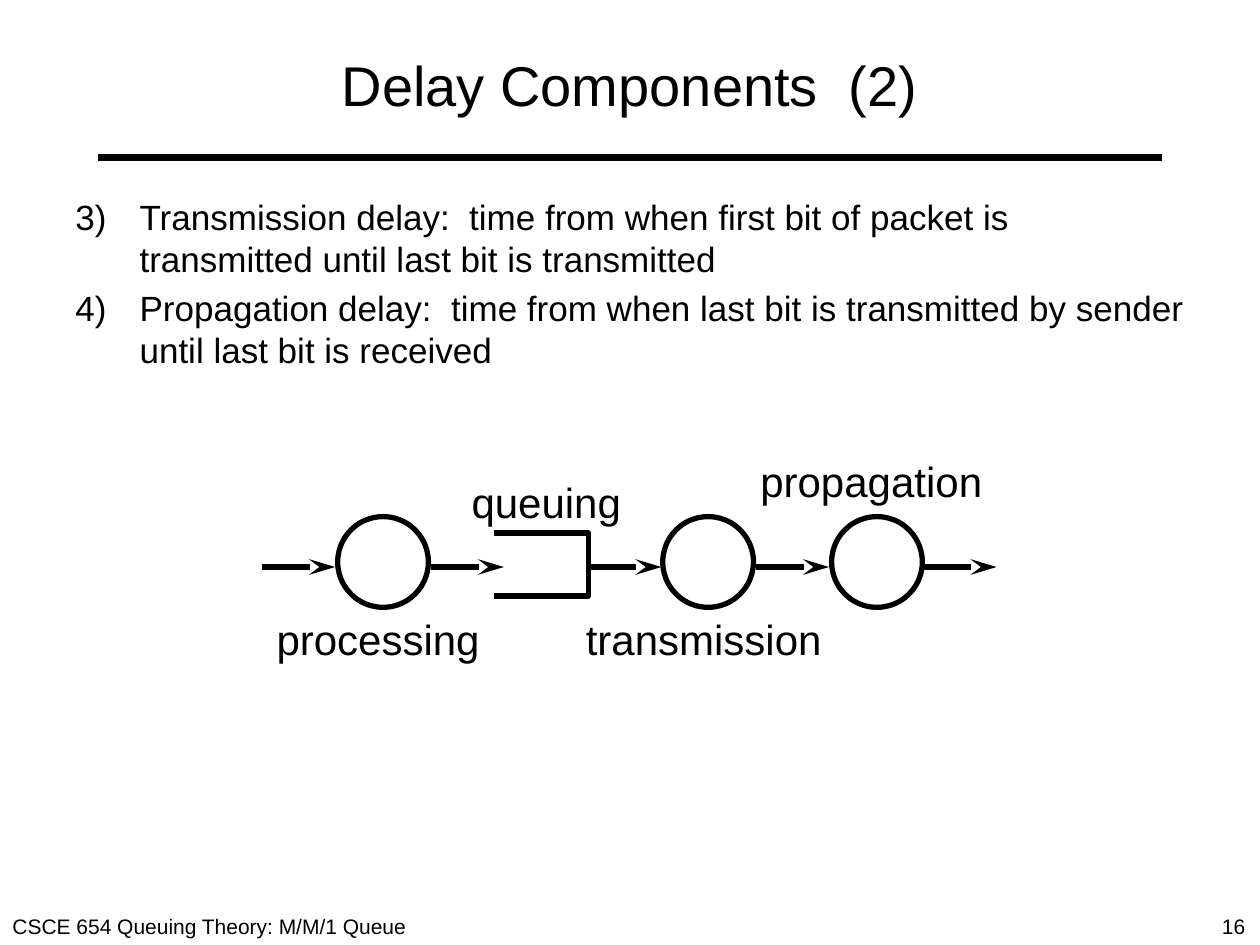
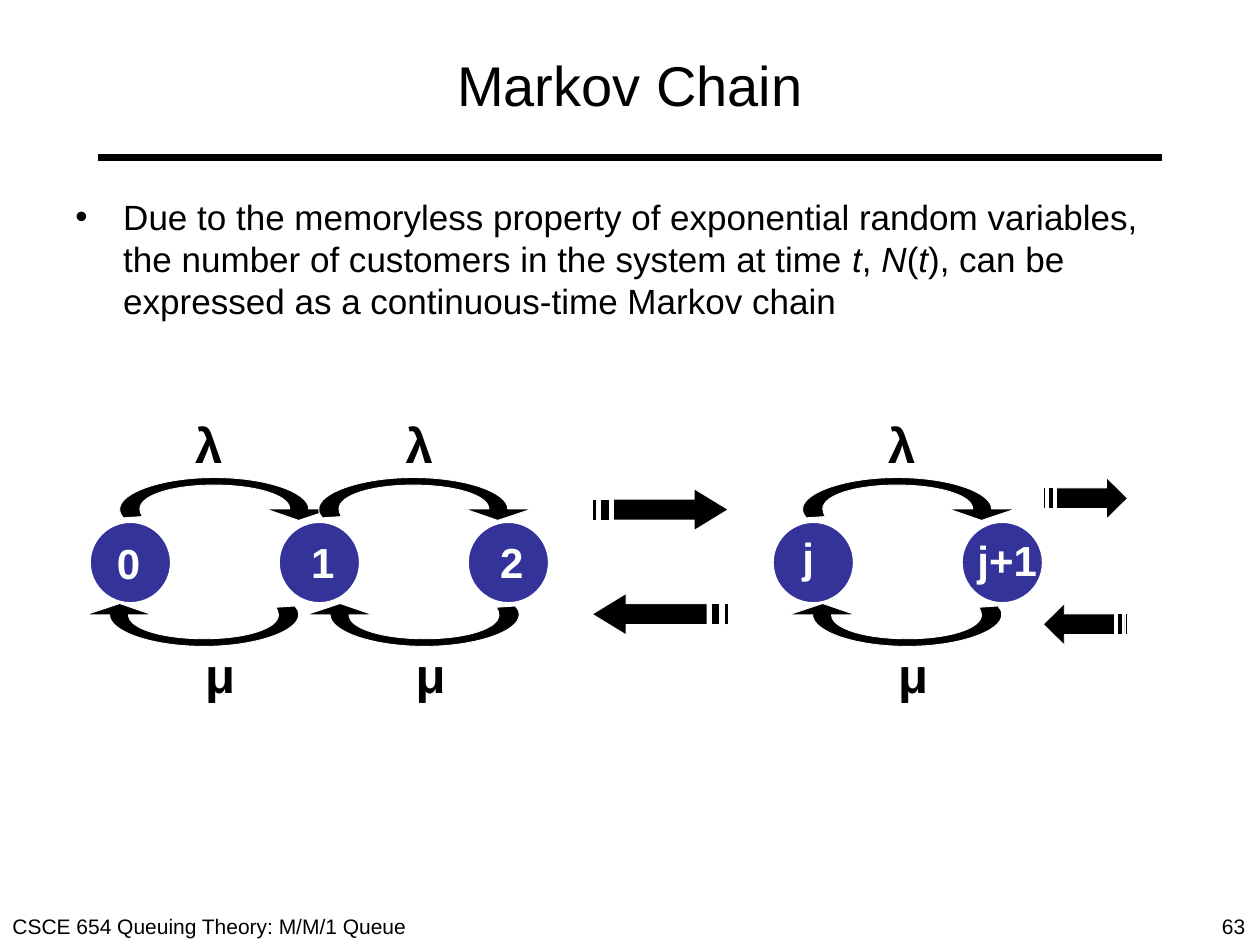
from lxml.etree import SubElement
from pptx import Presentation
from pptx.dml.color import RGBColor
from pptx.enum.shapes import MSO_CONNECTOR as CONNECTOR, MSO_SHAPE as SHAPE
from pptx.enum.text import MSO_ANCHOR as ANCHOR, MSO_AUTO_SIZE as AUTO_SIZE, PP_ALIGN as ALIGN
from pptx.oxml.ns import qn
from pptx.util import Inches, Pt

BLACK = RGBColor(0x00, 0x00, 0x00)
WHITE = RGBColor(0xFF, 0xFF, 0xFF)
INDIGO = RGBColor(0x33, 0x33, 0x99)
FONT = "Arial"
FOOTER = "CSCE 654 Queuing Theory: M/M/1 Queue"
FLOW_Y = 4.5
STATE_SIZE = 0.67
UPPER_Y, LOWER_Y = 4.04, 4.88
INNER_ARC = [(0.6, 0), (0.6, -0.11), (0.33, -0.19), (0, -0.19), (-0.33, -0.19),
             (-0.59, -0.11), (-0.59, 0), (-0.59, 0.02), (-0.58, 0.04), (-0.57, 0.06)]
OUTER_ARC = [(-0.72, 0.07), (-0.74, 0.05), (-0.75, 0.03), (-0.75, 0), (-0.75, -0.13),
             (-0.41, -0.25), (0, -0.25), (0.42, -0.25), (0.75, -0.13), (0.75, 0)]
ARC_HEAD = [(0.94, 0), (0.67, 0.09), (0.41, 0)]


def style_font(font, size, color=BLACK, bold=False, italic=False):
    """Apply the deck's typeface with the given look."""
    font.name = FONT
    font.size = Pt(size)
    font.color.rgb = color
    font.bold = bold
    font.italic = italic


def add_text(page, text, left, top, width, height, size, color=BLACK,
             bold=False, align=ALIGN.LEFT, wrap=False):
    """Add a one-paragraph text box and return it."""
    box = page.shapes.add_textbox(Inches(left), Inches(top), Inches(width), Inches(height))
    frame = box.text_frame
    frame.text = text
    frame.word_wrap = wrap
    frame.auto_size = AUTO_SIZE.SHAPE_TO_FIT_TEXT
    para = frame.paragraphs[0]
    para.alignment = align
    style_font(para.runs[0].font, size, color, bold)
    return box


def add_line(page, start, end, weight, arrow=False):
    """Draw a straight black line, optionally with a long stealth head."""
    line = page.shapes.add_connector(CONNECTOR.STRAIGHT, *map(Inches, start + end))
    line.line.color.rgb = BLACK
    line.line.width = Pt(weight)
    if arrow:
        SubElement(line.line._get_or_add_ln(), qn("a:tailEnd"), type="stealth", w="med", len="lg")
    SubElement(line._element.spPr, qn("a:effectLst"))


def add_page(deck, title, number):
    """Add a page with title, rule, footer and page number."""
    page = deck.slides.add_slide(deck.slide_layouts[6])
    add_line(page, (0.78, 1.25), (9.22, 1.25), 4.5)
    add_text(page, str(number), 9.6, 7.2, 0.4, 0.3, 12)
    add_text(page, FOOTER, 0, 7.2, 4.08, 0.3, 12, wrap=True)
    box = add_text(page, title, 0.5, 0.17, 9, 1, 32, align=ALIGN.CENTER, wrap=True)
    box.text_frame.auto_size = AUTO_SIZE.NONE
    box.text_frame.vertical_anchor = ANCHOR.MIDDLE
    return page


def add_body(page, paragraphs, indent, bullet=None):
    """Add hanging paragraphs, each a list of (text, italic) spans."""
    box = page.shapes.add_textbox(Inches(0.5), Inches(1.5), Inches(9), Inches(5.2))
    frame = box.text_frame
    frame.word_wrap = True
    for index, spans in enumerate(paragraphs):
        para = frame.add_paragraph() if index else frame.paragraphs[0]
        para.space_before = Pt(4)
        properties = para._p.get_or_add_pPr()
        properties.set("marL", str(Inches(indent)))
        properties.set("indent", str(-Inches(indent)))
        if bullet:
            SubElement(properties, qn("a:buFont"), typeface=FONT)
            SubElement(properties, qn("a:buChar"), char=bullet)
        for text, italic in spans:
            span = para.add_run()
            span.text = text
            style_font(span.font, 20, italic=italic)


def paint(shape, fill, line, weight):
    """Set fill and outline of a shape and drop its shadow."""
    shape.shadow.inherit = False
    if fill is None:
        shape.fill.background()
    else:
        shape.fill.solid()
        shape.fill.fore_color.rgb = fill
    shape.line.color.rgb = line
    shape.line.width = Pt(weight)


def add_circle(page, left, top, size, fill, line):
    """Draw a circle with a 3 pt outline."""
    circle = page.shapes.add_shape(SHAPE.OVAL, Inches(left), Inches(top), Inches(size), Inches(size))
    paint(circle, fill, line, 3)


def add_outline(page, contours, fill, line, weight, close=True):
    """Draw one freeform from contours of points in inches and return it."""
    contours = [[(Inches(x), Inches(y)) for x, y in contour] for contour in contours]
    builder = page.shapes.build_freeform(*contours[0][0])
    for index, contour in enumerate(contours):
        if index:
            builder.move_to(*contour[0])
        builder.add_line_segments(contour[1:], close=close)
    outline = builder.convert_to_shape()
    paint(outline, fill, line, weight)
    return outline


def bend(outline, starts):
    """Turn the three line segments from each start index into one Bezier curve."""
    segments = list(outline._element.iter(qn("a:lnTo")))
    for start in starts:
        first, *others = segments[start:start + 3]
        first.tag = qn("a:cubicBezTo")
        for segment in others:
            first.append(segment[0])
            segment.getparent().remove(segment)


def add_curved_arrow(page, center_x, center_y, turn):
    """Draw a half-ellipse arrow: turn 1 goes over, -1 goes back under."""
    contour = [(center_x + turn * x, center_y + turn * y) for x, y in INNER_ARC + OUTER_ARC + ARC_HEAD]
    outline = add_outline(page, [contour], BLACK, WHITE, 0.5)
    bend(outline, (0, 3, 6, 10, 13, 16))


def add_striped_arrow(page, left, top, width, direction):
    """Draw an arrow with a striped tail, pointing right (1) or left (-1)."""
    height = 0.33
    near, far = 0.25, 0.75
    body = [(0.75, 0), (0.75, near), (5 / 32, near), (5 / 32, far), (0.75, far), (0.75, 1), (1, 0.5)]
    stripes = [[(start, near), (start, far), (end, far), (end, near)]
               for start, end in ((2 / 32, 4 / 32), (0, 1 / 32))]
    origin = left if direction > 0 else left + width
    contours = [[(origin + direction * width * x, top + height * y) for x, y in contour]
                for contour in [body] + stripes]
    add_outline(page, contours, BLACK, WHITE, 0.5)


def draw_delay_components(deck):
    """Build the page on transmission and propagation delay."""
    page = add_page(deck, "Delay Components  (2)", 16)
    add_body(page, [
        [("3)\tTransmission delay:  time from when first bit of packet is "
          "transmitted until last bit is transmitted", False)],
        [("4)\tPropagation delay:  time from when last bit is transmitted by sender "
          "until last bit is received", False)],
    ], 0.51)
    for left in (2.68, 5.26, 6.6):
        add_circle(page, left, 4.1, 0.72, None, BLACK)
    for start in (2.08, 3.42, 4.67, 6, 7.33):
        add_line(page, (start, FLOW_Y), (start + 0.58, FLOW_Y), 3, arrow=True)
    for label, left, top, width in (
        ("processing", 2.09, 4.82, 1.82),
        ("queuing", 3.64, 3.73, 1.39),
        ("transmission", 4.55, 4.82, 2.07),
        ("propagation", 5.93, 3.57, 1.97),
    ):
        add_text(page, label, left, top, width, 0.5, 24, align=ALIGN.CENTER)
    queue = [(3.92, 4.23), (4.67, 4.23), (4.67, 4.73), (3.92, 4.73)]
    add_outline(page, [queue], None, BLACK, 3, close=False)


def draw_markov_chain(deck):
    """Build the page with the birth-death chain."""
    page = add_page(deck, "Markov Chain", 63)
    add_body(page, [[
        ("Due to the memoryless property of exponential random variables, "
         "the number of customers in the system at time ", False),
        ("t", True), (", ", False), ("N", True), ("(", False), ("t", True),
        ("), can be expressed as a continuous-time Markov chain", False),
    ]], 0.38, bullet="•")
    for state, left, label_left, label_top, label_width in (
        ("0", 0.7, 0.83, 4.22, 0.39),
        ("1", 2.2, 2.37, 4.21, 0.39),
        ("2", 3.7, 3.87, 4.21, 0.39),
        ("j", 6.12, 6.27, 4.17, 0.29),
        ("j+1", 7.62, 7.66, 4.19, 0.67),
    ):
        add_circle(page, left, 4.13, STATE_SIZE, INDIGO, WHITE)
        add_text(page, state, label_left, label_top, label_width, 0.5, 24, WHITE, bold=True)
    for upper_x, lower_x, label_left in ((1.7, 1.62, 1.45), (3.28, 3.37, 3.12), (7.12, 7.2, 6.95)):
        add_curved_arrow(page, upper_x, UPPER_Y, 1)
        add_curved_arrow(page, lower_x, LOWER_Y, -1)
        add_text(page, "λ", label_left, 3.24, 0.41, 0.57, 28, bold=True)
        add_text(page, "μ", label_left + 0.08, 5.07, 0.43, 0.57, 28, bold=True)
    for left, width, upper_top, lower_top in ((4.7, 1.08, 3.88, 4.71), (8.28, 0.67, 3.79, 4.79)):
        add_striped_arrow(page, left, upper_top, width, 1)
        add_striped_arrow(page, left, lower_top, width, -1)


def main():
    """Create the deck and save it."""
    deck = Presentation()
    deck.slide_width, deck.slide_height = Inches(10), Inches(7.5)
    draw_delay_components(deck)
    draw_markov_chain(deck)
    deck.save("out.pptx")


if __name__ == "__main__":
    main()
